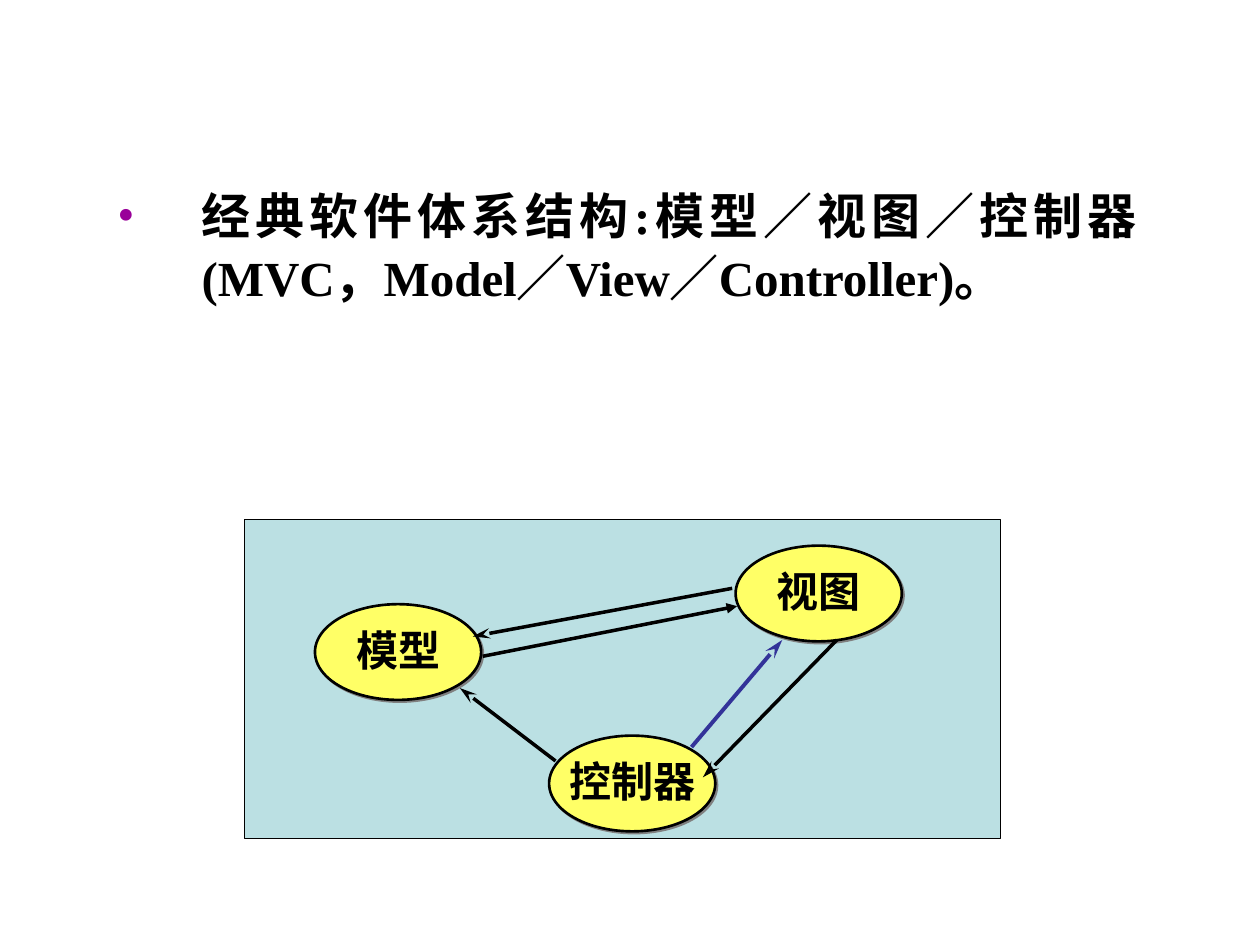
import pptx
import pptx.util
import pptx.dml.color
import pptx.enum.shapes
import pptx.enum.text
import pptx.oxml
from pptx.util import Cm, Pt

BODY = "经典软件体系结构:模型／视图／控制器(MVC，Model／View／Controller)。"
BODY_BOX = (2.11, 3.56, 21.06, 11.88)
PANEL_BOX = (4.93, 10.47, 15.24, 6.43)
NODES = [
    ("控制器", 11.07, 14.83),
    ("模型", 6.35, 12.18),
    ("视图", 14.83, 11),
]
NODE_W, NODE_H = 3.35, 1.93
LABEL_H, LABEL_DROP = 1.27, 0.28
LABEL_PAD, CHAR_W = 0.6, 0.87
ARROWS = [
    ((13.94, 15.06), (15.77, 12.9), "333399", 2.25, "stealth", "lg"),
    ((9.73, 13.23), (14.86, 12.22), "000000", 2, "triangle", "med"),
    ((14.76, 11.86), (9.53, 12.83), "000000", 2, "stealth", "lg"),
    ((11.2, 15.34), (9.27, 13.87), "000000", 2, "stealth", "lg"),
    ((16.87, 12.9), (14.17, 15.67), "000000", 2, "stealth", "lg"),
]
NS = 'xmlns:a="http://schemas.openxmlformats.org/drawingml/2006/main"'
SHADOW = (
    f'<a:effectLst {NS}><a:outerShdw dist="17961" dir="2700000" algn="ctr" rotWithShape="0">'
    '<a:srgbClr val="808080"/></a:outerShdw></a:effectLst>'
)
BULLET = [
    f'<a:buClr {NS}><a:srgbClr val="990099"/></a:buClr>',
    f'<a:buFont {NS} typeface="Times New Roman"/>',
    f'<a:buChar {NS} char="•"/>',
]


def rgb(value):
    return pptx.dml.color.RGBColor.from_string(value)


def add_xml(parent, xml):
    parent.append(pptx.oxml.parse_xml(xml))


def write(p, text, size):
    r = p.add_run()
    r.text = text
    for name, value in {"name": "Times New Roman", "size": Pt(size), "bold": True}.items():
        setattr(r.font, name, value)
    r.font.color.rgb = rgb("000000")


def add_box(shapes, kind, box, fill, width):
    sp = shapes.add_shape(kind, *map(Cm, box))
    sp.shadow.inherit = False
    sp.fill.solid()
    sp.fill.fore_color.rgb = rgb(fill)
    sp.line.color.rgb = rgb("000000")
    sp.line.width = Pt(width)
    return sp


def add_body(sp):
    for name, value in zip(("left", "top", "width", "height"), BODY_BOX):
        setattr(sp, name, Cm(value))
    tf = sp.text_frame
    tf.auto_size = pptx.enum.text.MSO_AUTO_SIZE.NONE
    p = tf.paragraphs[0]
    pPr = p._p.get_or_add_pPr()
    pPr.set("marL", str(Cm(1.7)))
    pPr.set("indent", str(-Cm(1.7)))
    for xml in BULLET:
        add_xml(pPr, xml)
    style = {
        "alignment": pptx.enum.text.PP_ALIGN.JUSTIFY,
        "line_spacing": 1.05,
        "space_before": Pt(0),
    }
    for name, value in style.items():
        setattr(p, name, value)
    write(p, BODY, 28)


def add_node(s, text, x, y):
    group = s.shapes.add_group_shape()
    oval = add_box(group.shapes, pptx.enum.shapes.MSO_SHAPE.OVAL, (x, y, NODE_W, NODE_H), "FFFF66", 1.5)
    spPr = oval._element.spPr
    spPr.remove(spPr[-1])
    add_xml(spPr, SHADOW)
    width = LABEL_PAD + CHAR_W * len(text)
    label = (x + (NODE_W - width) / 2, y + LABEL_DROP, width, LABEL_H)
    tf = group.shapes.add_textbox(*map(Cm, label)).text_frame
    tf.word_wrap = False
    tf.auto_size = pptx.enum.text.MSO_AUTO_SIZE.SHAPE_TO_FIT_TEXT
    p = tf.paragraphs[0]
    p.alignment = pptx.enum.text.PP_ALIGN.CENTER
    write(p, text, 24)


def add_arrow(s, start, end, color, width, head, length):
    line = s.shapes.add_connector(pptx.enum.shapes.MSO_CONNECTOR.STRAIGHT, *map(Cm, start + end))
    line.line.color.rgb = rgb(color)
    line.line.width = Pt(width)
    add_xml(line.line._get_or_add_ln(), f'<a:tailEnd {NS} type="{head}" len="{length}"/>')
    add_xml(line._element.spPr, f"<a:effectLst {NS}/>")


def main():
    prs = pptx.Presentation()
    prs.slide_width, prs.slide_height = Cm(25.4), Cm(19.05)
    s = prs.slides.add_slide(prs.slide_layouts[1])
    title = s.shapes.title._element
    title.getparent().remove(title)
    add_body(s.placeholders[1])
    add_box(s.shapes, pptx.enum.shapes.MSO_SHAPE.RECTANGLE, PANEL_BOX, "BBE0E3", 0.75)
    for node in NODES:
        add_node(s, *node)
    for arrow in ARROWS:
        add_arrow(s, *arrow)
    prs.save("out.pptx")


if __name__ == "__main__":
    main()
